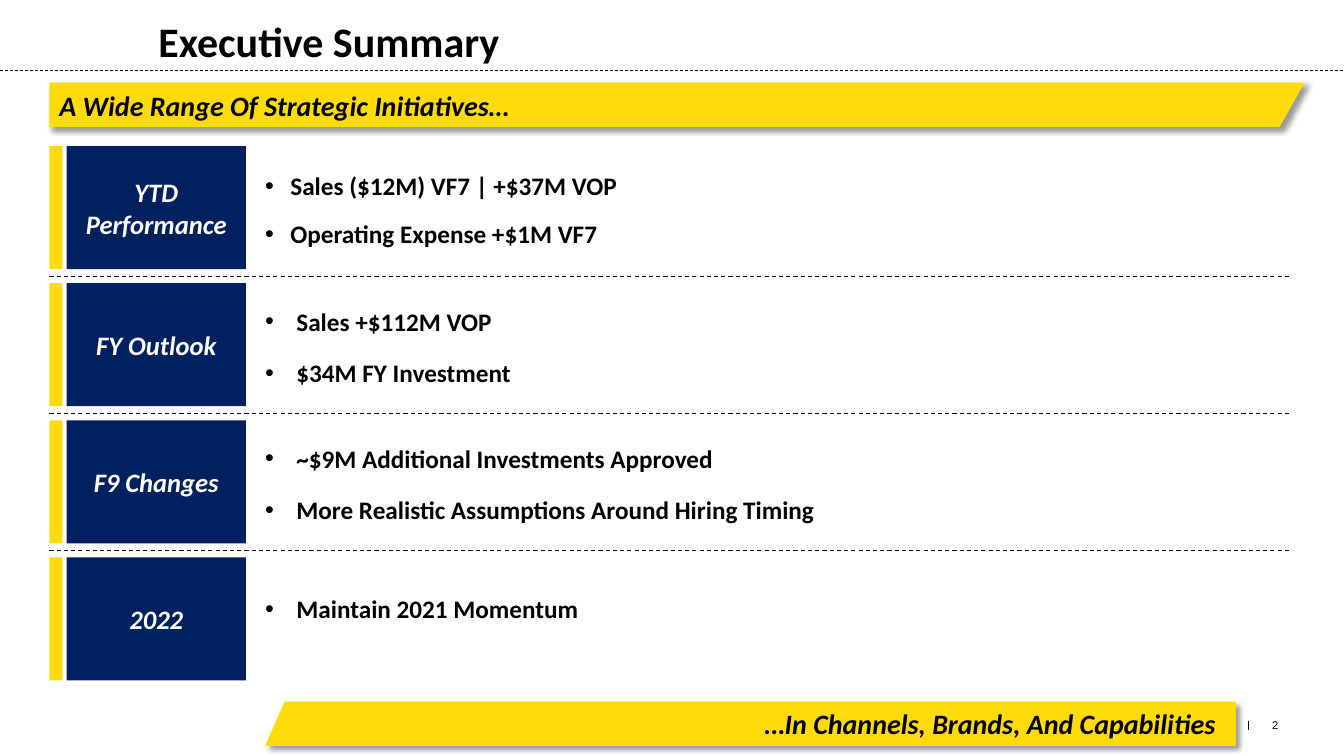
import pptx
import pptx.util
import pptx.dml.color
import pptx.enum.dml
import pptx.enum.shapes
import pptx.enum.text
import pptx.oxml
import lxml.etree
from pptx.util import Inches

COLORS = {"navy": "002060", "yellow": "FFDB0A", "black": "000000", "white": "FFFFFF"}
DRAWING = "http://schemas.openxmlformats.org/drawingml/2006/main"
ALIGN = pptx.enum.text.PP_ALIGN

ROW_TOP, ROW_PITCH, ROW_HEIGHT = 1.45, 1.36, 1.22
ROW_LEFT, ROW_WIDTH = 0.49, 12.32
ROWS = [
    ("YTD Performance", 0.25, 10, ROW_HEIGHT,
     ["Sales ($12M) VF7 | +$37M VOP", "Operating Expense +$1M VF7"]),
    ("FY Outlook", 0.31, 12, ROW_HEIGHT,
     ["Sales +$112M VOP", "$34M FY Investment"]),
    ("F9 Changes", 0.31, 12, ROW_HEIGHT,
     ["~$9M Additional Investments Approved",
      "More Realistic Assumptions Around Hiring Timing"]),
    ("2022", 0.31, 10, 0.98, ["Maintain 2021 Momentum"]),
]


def rgb(name):
    return pptx.dml.color.RGBColor.from_string(COLORS[name])


def place(shape, left, top, width, height):
    shape.left, shape.top = Inches(left), Inches(top)
    shape.width, shape.height = Inches(width), Inches(height)


def prepare_frame(shape):
    frame = shape.text_frame
    frame.word_wrap = True
    frame.auto_size = pptx.enum.text.MSO_AUTO_SIZE.NONE
    frame.vertical_anchor = pptx.enum.text.MSO_ANCHOR.MIDDLE
    return frame


def add_run(paragraph, text, size, color="black", bold=True, italic=False, font="Calibri"):
    run = paragraph.add_run()
    run.text = text
    run.font.name = font
    run.font.size = pptx.util.Pt(size)
    run.font.bold = bold
    run.font.italic = italic
    run.font.color.rgb = rgb(color)


def paint(shape, color):
    shape.shadow.inherit = False
    shape.fill.solid()
    shape.fill.fore_color.rgb = rgb(color)
    shape.line.fill.background()


def add_block(slide, left, top, width, height, color):
    shape = slide.shapes.add_shape(
        pptx.enum.shapes.MSO_SHAPE.RECTANGLE,
        Inches(left), Inches(top), Inches(width), Inches(height))
    paint(shape, color)
    return shape


def add_rule(slide, start, end, width, dashed=True):
    connector = slide.shapes.add_connector(
        pptx.enum.shapes.MSO_CONNECTOR.STRAIGHT, *map(Inches, start + end))
    connector.line.color.rgb = rgb("black")
    connector.line.width = pptx.util.Pt(width)
    if dashed:
        connector.line.dash_style = pptx.enum.dml.MSO_LINE.DASH
    lxml.etree.SubElement(connector._element.spPr, f"{{{DRAWING}}}effectLst")


def add_header(slide, left, top, width, height):
    title = slide.shapes.title
    place(title, left, top, width, height)
    paragraph = prepare_frame(title).paragraphs[0]
    paragraph.alignment = ALIGN.LEFT
    add_run(paragraph, "Executive Summary", 30)
    add_rule(slide, (0, 0.7), (13.33, 0.7), 0.5)


def add_banner(slide, left, top, width, height, corners, text, alignment):
    points = [(Inches(left + width * x), Inches(top + height * y)) for x, y in corners]
    builder = slide.shapes.build_freeform(*points[0])
    builder.add_line_segments(points[1:], close=True)
    banner = builder.convert_to_shape()
    paint(banner, "yellow")
    banner._element.spPr.find(f"{{{DRAWING}}}effectLst").append(pptx.oxml.parse_xml(
        f'<a:outerShdw xmlns:a="{DRAWING}" blurRad="50800" dist="38100" dir="2700000" '
        f'algn="tl" rotWithShape="0"><a:srgbClr val="{COLORS["black"]}">'
        '<a:alpha val="40000"/></a:srgbClr></a:outerShdw>'))
    frame = prepare_frame(banner)
    frame.margin_left, frame.margin_right = Inches(0.1), Inches(0.2)
    paragraph = frame.paragraphs[0]
    paragraph.alignment = alignment
    add_run(paragraph, text, 20, italic=True)


def fill_list(placeholder, items, indent, space_after):
    frame = prepare_frame(placeholder)
    for index, item in enumerate(items):
        paragraph = frame.add_paragraph() if index else frame.paragraphs[0]
        properties = paragraph._p.get_or_add_pPr()
        properties.set("marL", str(Inches(indent)))
        properties.set("indent", str(-Inches(indent)))
        lxml.etree.SubElement(properties, f"{{{DRAWING}}}buFont", typeface="Arial")
        lxml.etree.SubElement(properties, f"{{{DRAWING}}}buChar", char="•")
        paragraph.alignment = ALIGN.LEFT
        paragraph.space_before = pptx.util.Pt(3 if index else 0)
        paragraph.space_after = pptx.util.Pt(space_after)
        add_run(paragraph, item, 18)


def add_row(slide, placeholder, left, top, width, row):
    label, indent, space_after, list_height, items = row
    add_block(slide, left, top, 0.13, ROW_HEIGHT, "yellow")
    label_block = add_block(slide, left + 0.17, top, 1.78, ROW_HEIGHT, "navy")
    paragraph = prepare_frame(label_block).paragraphs[0]
    paragraph.alignment = ALIGN.CENTER
    add_run(paragraph, label, 19, "white", italic=True)
    place(placeholder, left + 2.04, top + 0.02, width - 2.04, list_height)
    fill_list(placeholder, items, indent, space_after)


def add_page_number(slide, left, top, width, height):
    add_rule(slide, (left - 0.14, top + 0.08), (left - 0.14, top + 0.17), 0.5, dashed=False)
    box = slide.shapes.add_textbox(Inches(left), Inches(top), Inches(width), Inches(height))
    add_run(prepare_frame(box).paragraphs[0], "2", 8, bold=False, font="Arial")


def build_summary(presentation):
    slide = presentation.slides.add_slide(presentation.slide_layouts.get_by_name("Comparison"))
    bodies = [shape for shape in slide.placeholders if shape.placeholder_format.idx]
    add_header(slide, 1.47, 0.1, 11.84, 0.61)
    for index, (body, row) in enumerate(zip(bodies, ROWS)):
        top = ROW_TOP + index * ROW_PITCH
        add_row(slide, body, ROW_LEFT, top, ROW_WIDTH, row)
        if index:
            rule_top = top - 0.07
            add_rule(slide, (ROW_LEFT, rule_top), (ROW_LEFT + ROW_WIDTH, rule_top), 0.75)
    add_page_number(slide, 12.52, 7.07, 0.57, 0.25)
    add_banner(slide, 2.63, 6.96, 9.63, 0.44, [(0.02, 0), (1, 0), (1, 1), (0, 1)],
               "…In Channels, Brands, And Capabilities", ALIGN.RIGHT)
    add_banner(slide, ROW_LEFT, 0.82, 12.45, 0.44, [(0, 0), (1, 0), (0.98, 1), (0, 1)],
               "A Wide Range Of Strategic Initiatives…", ALIGN.LEFT)


def main():
    presentation = pptx.Presentation()
    presentation.slide_width = Inches(13.33)
    presentation.slide_height = Inches(7.5)
    build_summary(presentation)
    presentation.save("out.pptx")


if __name__ == "__main__":
    main()
